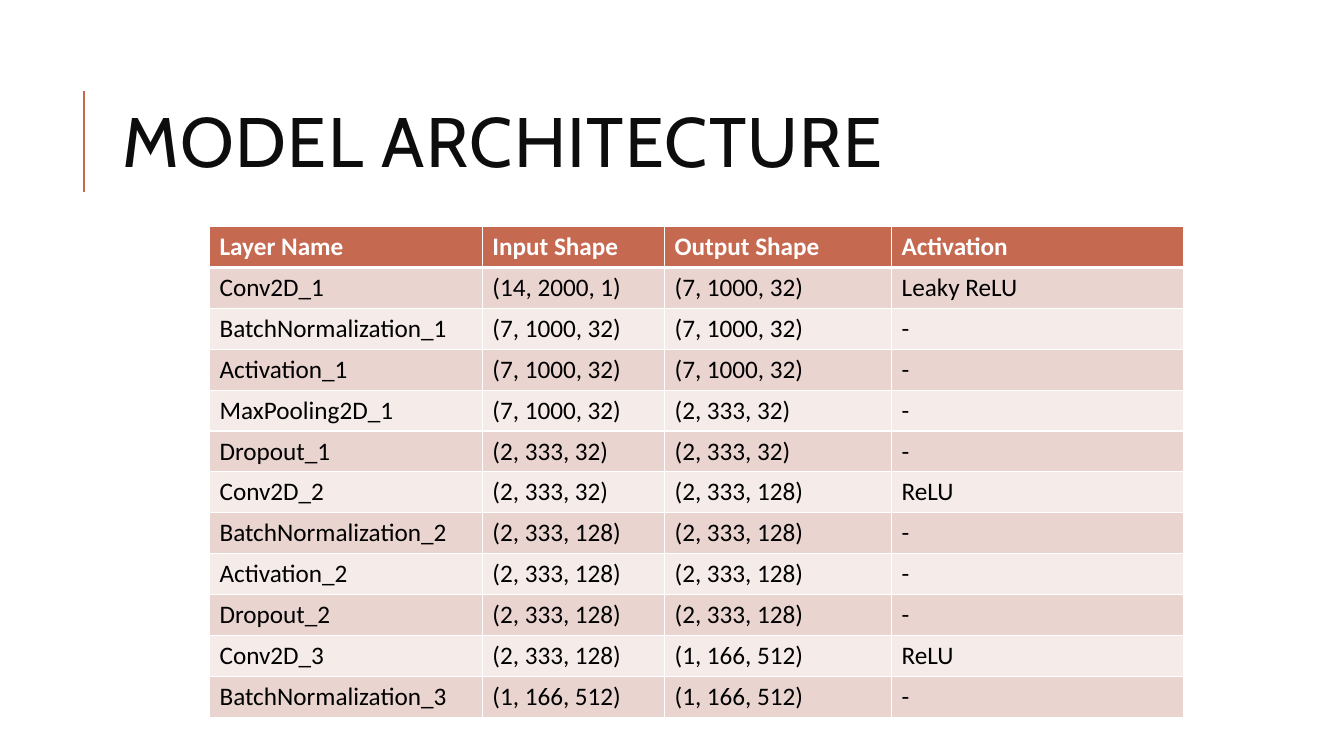
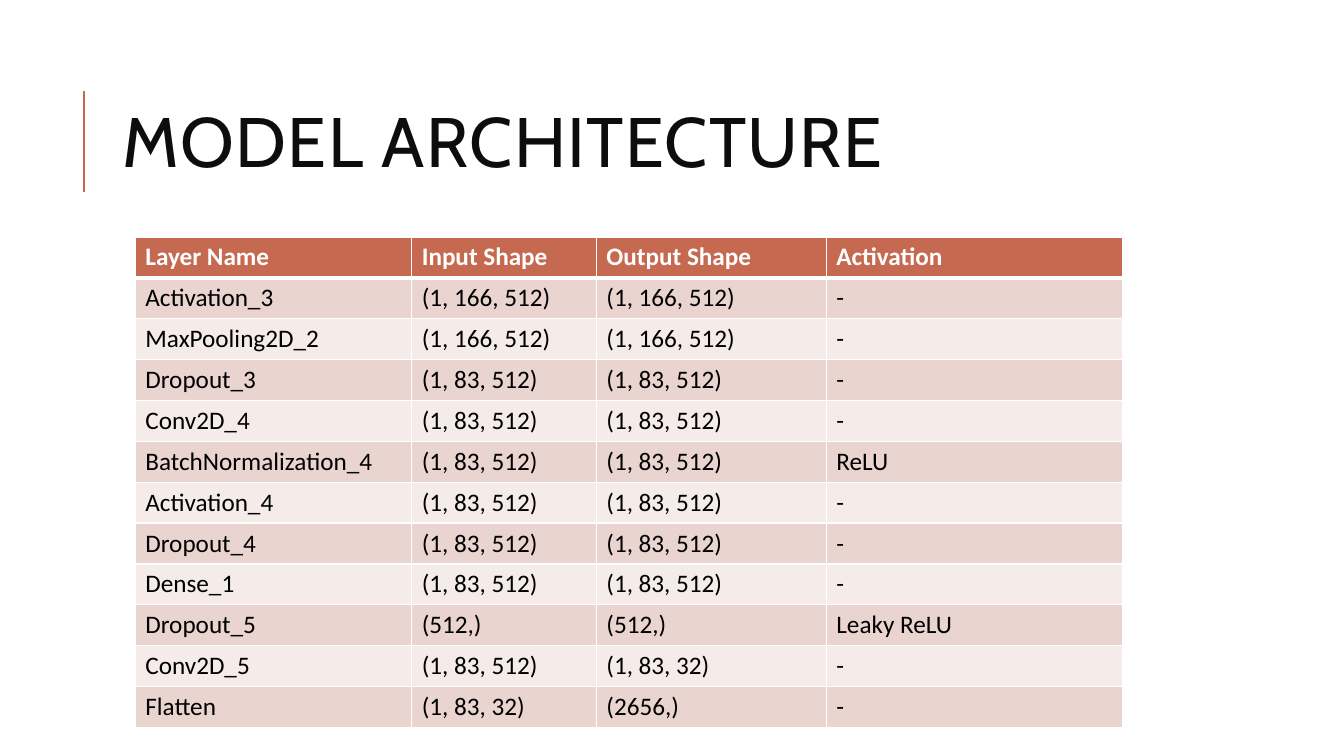
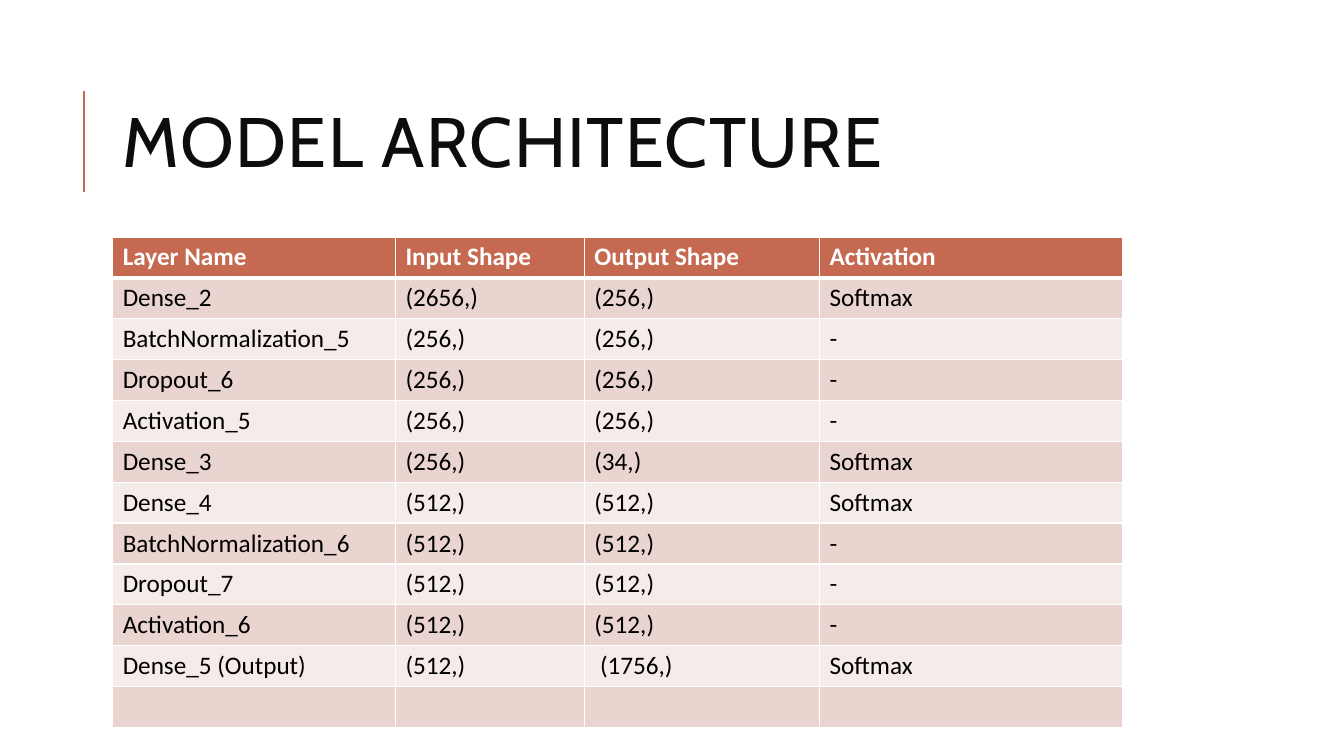
from pptx import Presentation
from pptx.dml.color import RGBColor
from pptx.enum.shapes import MSO_CONNECTOR
from pptx.enum.text import MSO_ANCHOR, MSO_AUTO_SIZE, PP_ALIGN
from pptx.oxml.ns import qn
from pptx.util import Cm, Pt
from lxml.etree import SubElement

COLOURS = {
    "accent": "C66951",
    "title": "0D0D0D",
    "header text": "FFFFFF",
    "body text": "000000",
    "border": "FFFFFF",
    "odd row": "EAD4D0",
    "even row": "F5EBE9",
}
TITLE = "MODEL ARCHITECTURE"
HEADER = ("Layer Name", "Input Shape", "Output Shape", "Activation")
COLUMN_SHARES = (0.28, 0.187, 0.233, 0.3)
ROW_HEIGHT = Cm(1.03)

# Left, top and width of each table in centimetres, then its body rows
TABLES = [
    (5.28, 5.71, 24.56, [
        ("Conv2D_1", "(14, 2000, 1)", "(7, 1000, 32)", "Leaky ReLU"),
        ("BatchNormalization_1", "(7, 1000, 32)", "(7, 1000, 32)", "-"),
        ("Activation_1", "(7, 1000, 32)", "(7, 1000, 32)", "-"),
        ("MaxPooling2D_1", "(7, 1000, 32)", "(2, 333, 32)", "-"),
        ("Dropout_1", "(2, 333, 32)", "(2, 333, 32)", "-"),
        ("Conv2D_2", "(2, 333, 32)", "(2, 333, 128)", "ReLU"),
        ("BatchNormalization_2", "(2, 333, 128)", "(2, 333, 128)", "-"),
        ("Activation_2", "(2, 333, 128)", "(2, 333, 128)", "-"),
        ("Dropout_2", "(2, 333, 128)", "(2, 333, 128)", "-"),
        ("Conv2D_3", "(2, 333, 128)", "(1, 166, 512)", "ReLU"),
        ("BatchNormalization_3", "(1, 166, 512)", "(1, 166, 512)", "-"),
    ]),
    (3.41, 5.97, 24.88, [
        ("Activation_3", "(1, 166, 512)", "(1, 166, 512)", "-"),
        ("MaxPooling2D_2", "(1, 166, 512)", "(1, 166, 512)", "-"),
        ("Dropout_3", "(1, 83, 512)", "(1, 83, 512)", "-"),
        ("Conv2D_4", "(1, 83, 512)", "(1, 83, 512)", "-"),
        ("BatchNormalization_4", "(1, 83, 512)", "(1, 83, 512)", "ReLU"),
        ("Activation_4", "(1, 83, 512)", "(1, 83, 512)", "-"),
        ("Dropout_4", "(1, 83, 512)", "(1, 83, 512)", "-"),
        ("Dense_1", "(1, 83, 512)", "(1, 83, 512)", "-"),
        ("Dropout_5", "(512,)", "(512,)", "Leaky ReLU"),
        ("Conv2D_5", "(1, 83, 512)", "(1, 83, 32)", "-"),
        ("Flatten", "(1, 83, 32)", "(2656,)", "-"),
    ]),
    (2.84, 5.97, 25.45, [
        ("Dense_2", "(2656,)", "(256,)", "Softmax"),
        ("BatchNormalization_5", "(256,)", "(256,)", "-"),
        ("Dropout_6", "(256,)", "(256,)", "-"),
        ("Activation_5", "(256,)", "(256,)", "-"),
        ("Dense_3", "(256,)", "(34,)", "Softmax"),
        ("Dense_4", "(512,)", "(512,)", "Softmax"),
        ("BatchNormalization_6", "(512,)", "(512,)", "-"),
        ("Dropout_7", "(512,)", "(512,)", "-"),
        ("Activation_6", "(512,)", "(512,)", "-"),
        ("Dense_5 (Output)", "(512,)", " (1756,)", "Softmax"),
        ("", "", "", ""),
    ]),
]


def add_run(para, text, font_name, size, colour, bold=False):
    span = para.add_run()
    span.text = text
    span.font.name = font_name
    span.font.size = Pt(size)
    span.font.bold = bold
    span.font.color.rgb = RGBColor.from_string(COLOURS[colour])
    return span


def style_cell(cell, fill, bottom_width):
    """Give the cell a fill and white borders; only the bottom width varies."""
    properties = cell._tc.get_or_add_tcPr()
    for side, width in (("L", 1), ("R", 1), ("T", 1), ("B", bottom_width)):
        border = SubElement(properties, qn(f"a:ln{side}"), w=str(Pt(width)))
        border_fill = SubElement(border, qn("a:solidFill"))
        SubElement(border_fill, qn("a:srgbClr"), val=COLOURS["border"])
    cell.fill.solid()
    cell.fill.fore_color.rgb = RGBColor.from_string(COLOURS[fill])


deck = Presentation()
deck.slide_width = Cm(33.87)
deck.slide_height = Cm(19.05)

layout = deck.slide_layouts.get_by_name("Title Only")
layout_title = layout.placeholders[0]
layout_title.left, layout_title.top = Cm(2.84), Cm(1.63)
layout_title.width, layout_title.height = Cm(27), Cm(4.17)

for left, top, width, body in TABLES:
    page = deck.slides.add_slide(layout)

    rule = page.shapes.add_connector(
        MSO_CONNECTOR.STRAIGHT, Cm(2.12), Cm(4.83), Cm(2.12), Cm(2.29))
    rule.line.color.rgb = RGBColor.from_string(COLOURS["accent"])
    rule.line.width = Pt(1.5)
    SubElement(rule.element.spPr, qn("a:effectLst"))

    frame = page.shapes.title.text_frame
    frame.auto_size = MSO_AUTO_SIZE.NONE
    frame.vertical_anchor = MSO_ANCHOR.MIDDLE
    para = frame.paragraphs[0]
    para.alignment = PP_ALIGN.LEFT
    para.line_spacing = 0.8
    span = add_run(para, TITLE, "Cabin", 50, "title")
    span.font._element.set("spc", "100")

    rows = [HEADER] + body
    table = page.shapes.add_table(
        len(rows), len(HEADER), Cm(left), Cm(top), Cm(width), ROW_HEIGHT * len(rows)).table
    for column, share in zip(table.columns, COLUMN_SHARES):
        column.width = Cm(width * share)

    for row_index, texts in enumerate(rows):
        table.rows[row_index].height = ROW_HEIGHT
        is_header = row_index == 0
        band = "odd row" if row_index % 2 else "even row"
        for column_index, text in enumerate(texts):
            cell = table.cell(row_index, column_index)
            style_cell(cell, "accent" if is_header else band, 3 if is_header else 1)
            if text:
                add_run(cell.text_frame.paragraphs[0], text, "Calibri", 18,
                        "header text" if is_header else "body text", is_header)

deck.save("out.pptx")
